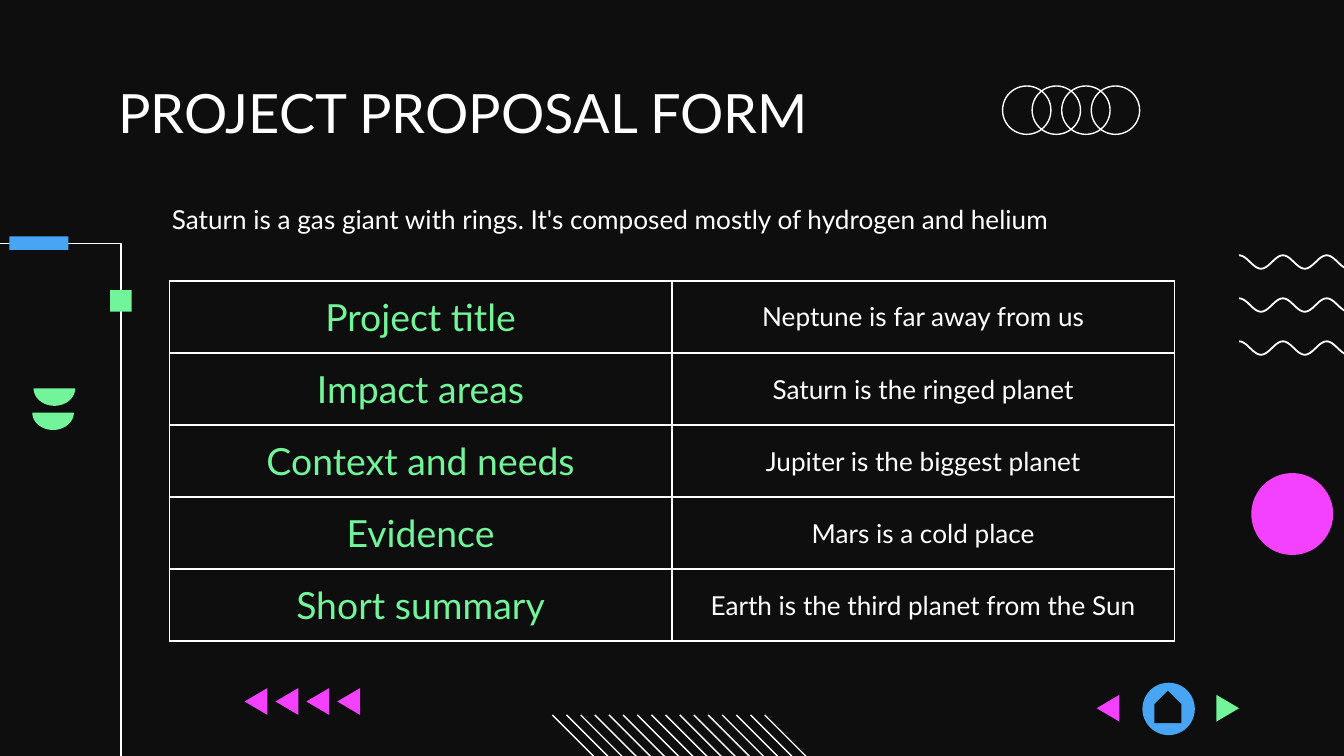
import math

from lxml import etree
from pptx import Presentation
from pptx.dml.color import RGBColor
from pptx.enum.shapes import MSO_CONNECTOR, MSO_SHAPE
from pptx.enum.text import MSO_ANCHOR, MSO_AUTO_SIZE, PP_ALIGN
from pptx.oxml.ns import qn
from pptx.util import Inches, Pt

OVAL, RECTANGLE, PENTAGON = MSO_SHAPE.OVAL, MSO_SHAPE.RECTANGLE, MSO_SHAPE.PENTAGON
STRAIGHT = MSO_CONNECTOR.STRAIGHT
TOP, MIDDLE = MSO_ANCHOR.TOP, MSO_ANCHOR.MIDDLE
LEFT, CENTER = PP_ALIGN.LEFT, PP_ALIGN.CENTER
NO_AUTOFIT = MSO_AUTO_SIZE.NONE

COLORS = {"black": "0E0E0E", "white": "FFFFFF", "green": "72F49A",
          "blue": "47A5F3", "pink": "F341FF"}
FONT = "Lato"

TITLE = "PROJECT PROPOSAL FORM"
SUBTITLE = "Saturn is a gas giant with rings. It's composed mostly of hydrogen and helium"
FORM_ROWS = [
    ("Project title", "Neptune is far away from us"),
    ("Impact areas", "Saturn is the ringed planet"),
    ("Context and needs", "Jupiter is the biggest planet"),
    ("Evidence", "Mars is a cold place"),
    ("Short summary", "Earth is the third planet from the Sun"),
]
FORM_COLUMNS = [
    {"size": 20, "color": "green", "anchor": TOP},
    {"size": 14, "color": "white", "anchor": MIDDLE},
]

SLIDE_WIDTH, SLIDE_HEIGHT = 10, 10 * 9 / 16
TABLE_BOX = (1.26, 2.09, 7.48, 2.68)
# The frame, the hatching and the waves bleed over the slide's edge.
FRAME = {"x": 0.9, "y": 1.81, "left": -2.49, "bottom": 6.13}
ARROW = {"width": 0.17, "height": 0.2}
REWIND = {"x": 1.82, "y": 5.12, "step": 0.23, "count": 4}
HATCH = {"x": 4.11, "y": 5.32, "last_x": 5.69, "count": 16, "size": 0.57}
WAVES = {"x": 9.22, "y": 1.9, "step": 0.32, "count": 3,
         "width": 1.14, "height": 0.1, "cycles": 3.5}
RINGS = {"x": 7.46, "y": 0.64, "step": 0.22, "count": 4, "size": 0.36}
BOWLS = [(0.24, 3.07), (0.25, 2.89)]
BOWL = {"width": 0.31, "height": 0.13}


def rgb(name):
    return RGBColor.from_string(COLORS[name])


def paint(shape, fill=None, line=None, width=0.75):
    shape.shadow.inherit = False
    if fill:
        shape.fill.solid()
        shape.fill.fore_color.rgb = rgb(fill)
    else:
        shape.fill.background()
    if line:
        shape.line.color.rgb = rgb(line)
        shape.line.width = Pt(width)
    else:
        shape.line.fill.background()
    return shape


def add_preset(slide, kind, box, **colors):
    return paint(slide.shapes.add_shape(kind, *map(Inches, box)), **colors)


def add_outline(slide, points, close=True, **colors):
    corners = [(Inches(x), Inches(y)) for x, y in points]
    builder = slide.shapes.build_freeform(*corners[0])
    builder.add_line_segments(corners[1:], close=close)
    return paint(builder.convert_to_shape(), **colors)


def add_line(slide, start, end):
    line = slide.shapes.add_connector(STRAIGHT, *map(Inches, start + end))
    line.line.color.rgb = rgb("white")
    line.line.width = Pt(0.75)
    etree.SubElement(line._element.spPr, qn("a:effectLst"))


def add_arrow(slide, x, y, color, points_left=True):
    tip, base = (x, x + ARROW["width"]) if points_left else (x + ARROW["width"], x)
    height = ARROW["height"]
    add_outline(slide, [(base, y), (tip, y + height / 2), (base, y + height)], fill=color)


def write(text_frame, text, size, color, alignment=LEFT, **paragraph_format):
    paragraph = text_frame.paragraphs[0]
    paragraph.text = text
    paragraph.alignment = alignment
    for name, value in paragraph_format.items():
        setattr(paragraph, name, value)
    font = paragraph.runs[0].font
    font.name, font.size, font.color.rgb = FONT, Pt(size), rgb(color)


def place_text(shape, box, margin_top):
    shape.left, shape.top, shape.width, shape.height = map(Inches, box)
    settings = {"word_wrap": True, "auto_size": NO_AUTOFIT, "vertical_anchor": TOP,
                "margin_left": Inches(0.1), "margin_right": Inches(0.1),
                "margin_top": Inches(margin_top), "margin_bottom": Inches(0.1)}
    for name, value in settings.items():
        setattr(shape.text_frame, name, value)
    return shape.text_frame


def add_cell_borders(cell):
    properties = cell._tc.get_or_add_tcPr()
    for side in ("lnL", "lnR", "lnT", "lnB"):
        border = etree.SubElement(properties, qn(f"a:{side}"), w=str(Pt(0.75)))
        fill = etree.SubElement(border, qn("a:solidFill"))
        etree.SubElement(fill, qn("a:srgbClr"), val=COLORS["white"])


def add_form(slide):
    shape = slide.shapes.add_table(len(FORM_ROWS), len(FORM_COLUMNS), *map(Inches, TABLE_BOX))
    table = shape.table
    table.first_row = table.horz_banding = False
    for row, texts in enumerate(FORM_ROWS):
        for column, (text, style) in enumerate(zip(texts, FORM_COLUMNS)):
            cell = table.cell(row, column)
            for side in ("left", "right", "top", "bottom"):
                setattr(cell, f"margin_{side}", Inches(0.1))
            cell.vertical_anchor = style["anchor"]
            add_cell_borders(cell)
            cell.fill.background()
            write(cell.text_frame, text, style["size"], style["color"], CENTER)


def add_decorations(slide):
    x, y = FRAME["x"], FRAME["y"]
    add_outline(slide, [(x, FRAME["bottom"]), (x, y), (FRAME["left"], y)],
                close=False, line="white")
    add_preset(slide, RECTANGLE, (x - 0.08, 2.16, 0.16, 0.16), fill="green")
    add_preset(slide, RECTANGLE, (0.07, y - 0.05, 0.44, 0.1), fill="blue")
    add_preset(slide, OVAL, (9.31, 3.52, 0.61, 0.61), fill="pink")

    for index in range(REWIND["count"]):
        add_arrow(slide, REWIND["x"] + index * REWIND["step"], REWIND["y"], "pink")

    gap = (HATCH["last_x"] - HATCH["x"]) / (HATCH["count"] - 1)
    for index in range(HATCH["count"]):
        x = HATCH["x"] + index * gap
        add_line(slide, (x, HATCH["y"]), (x + HATCH["size"], HATCH["y"] + HATCH["size"]))

    samples = 84
    for index in range(WAVES["count"]):
        top = WAVES["y"] + index * WAVES["step"]
        points = []
        for sample in range(samples + 1):
            share = sample / samples
            dip = (1 - math.cos(math.tau * WAVES["cycles"] * share)) / 2
            points.append((WAVES["x"] + WAVES["width"] * share, top + WAVES["height"] * dip))
        add_outline(slide, points, close=False, line="white", width=0.95)

    for left, top in BOWLS:
        radius = BOWL["width"] / 2
        angles = [math.pi * step / 24 for step in range(25)]
        add_outline(slide, [(left + radius * (1 - math.cos(angle)),
                             top + BOWL["height"] * math.sin(angle)) for angle in angles],
                    fill="green")

    for index in range(RINGS["count"]):
        left = RINGS["x"] + index * RINGS["step"]
        add_preset(slide, OVAL, (left, RINGS["y"], RINGS["size"], RINGS["size"]), line="white")


def add_navigation(slide):
    add_preset(slide, OVAL, (8.5, 5.08, 0.39, 0.39), fill="blue")
    home = add_preset(slide, PENTAGON, (8.57, 5.16, 0.24, 0.2), fill="black")
    home.rotation = 270
    add_arrow(slide, 8.16, 5.17, "pink")
    add_arrow(slide, 9.05, 5.17, "green", points_left=False)


def main():
    presentation = Presentation()
    presentation.slide_width = Inches(SLIDE_WIDTH)
    presentation.slide_height = Inches(SLIDE_HEIGHT)
    slide = presentation.slides.add_slide(presentation.slide_layouts[5])
    slide.background.fill.solid()
    slide.background.fill.fore_color.rgb = rgb("black")

    add_decorations(slide)
    write(place_text(slide.shapes.title, (0.78, 0.59, 8.44, 0.46), 0), TITLE, 29, "white")
    subtitle = slide.shapes.add_textbox(0, 0, 0, 0)
    write(place_text(subtitle, (1.18, 1.38, 7.63, 0.46), 0.1), SUBTITLE, 14, "white",
          line_spacing=1.15, space_after=Pt(12))
    add_form(slide)
    add_navigation(slide)
    presentation.save("out.pptx")


if __name__ == "__main__":
    main()
